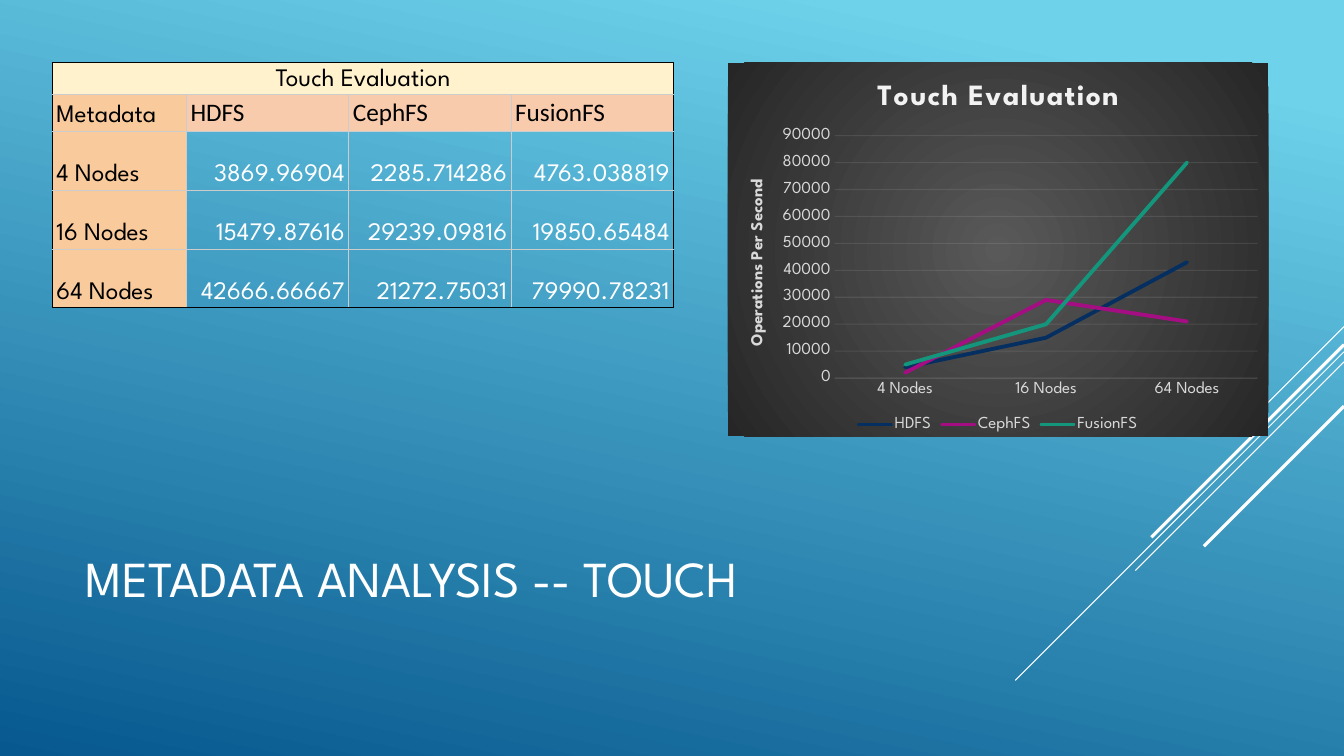
from pptx import Presentation
from pptx.chart.data import CategoryChartData as ChartData
from pptx.dml.color import RGBColor as RGB
from pptx.enum.chart import XL_CHART_TYPE as Kind, XL_LEGEND_POSITION as Spot, XL_TICK_MARK as Tick
from pptx.enum.shapes import MSO_CONNECTOR as Link
from pptx.enum.text import MSO_ANCHOR as Anchor, MSO_AUTO_SIZE as Auto, PP_ALIGN as Align
from pptx.oxml import parse_xml
from pptx.oxml.ns import nsdecls, qn
from pptx.util import Pt

PX = 9144
WIDE, HIGH = 1333, 750
FACE = "League Spartan"
HUES = {
    "sky": "6ED2EB", "sea": "06588E", "white": "FFFFFF", "black": "000000",
    "rule": "CCCCCC", "cream": "FFF2CC", "peach": "F8CBAD", "sand": "F9CB9C",
    "core": "595959", "rim": "262626", "label": "D9D9D9", "pale": "F2F2F2",
    "HDFS": "052F61", "CephFS": "A50E82", "FusionFS": "14967C",
}
TOPIC = "Touch Evaluation"
HEAD = ["Metadata", "HDFS", "CephFS", "FusionFS"]
ROWS = [
    ["4 Nodes", "3869.96904", "2285.714286", "4763.038819"],
    ["16 Nodes", "15479.87616", "29239.09816", "19850.65484"],
    ["64 Nodes", "42666.66667", "21272.75031", "79990.78231"],
]


def px(*sizes):
    return [size * PX for size in sizes]


def hue(name):
    return RGB.from_string(HUES[name])


def style(font, size, color, face=FACE, bold=False):
    font.size, font.name, font.bold = Pt(size), face, bold
    font.color.rgb = hue(color)


def paint(slide):
    fill = slide.background.fill
    fill.gradient()
    fill.gradient_angle = 258
    for stop, spot, name in zip(fill.gradient_stops, (0.1, 1), ("sky", "sea")):
        stop.position = spot
        stop.color.rgb = hue(name)


def add_rays(slide, edge):
    """Draw diagonal lines running down and left from the given right edge."""
    group = slide.shapes.add_group_shape()
    rays = [(324, 100, 0.75), (349, 326, 0.75), (359, 207, 0.75),
            (342, 191, 2.25), (403, 139, 2.25)]
    for top, run, width in rays:
        ray = group.shapes.add_connector(Link.STRAIGHT, *px(edge, top, edge - run, top + run))
        ray.line.width = Pt(width)
        ray.line.color.rgb = hue("white")
        ray.element.spPr.append(parse_xml(f"<a:effectLst {nsdecls('a')}/>"))


def set_title(slide, box, text):
    title = slide.shapes.title
    title.left, title.top, title.width, title.height = px(*box)
    frame = title.text_frame
    frame.text = text
    frame.word_wrap, frame.auto_size = True, Auto.NONE
    frame.vertical_anchor = Anchor.MIDDLE
    para = frame.paragraphs[0]
    para.alignment = Align.LEFT
    style(para.runs[0].font, 36, "white")


def add_edges(cell, sides):
    props = cell._tc.get_or_add_tcPr()
    for side, name in sides.items():
        props.append(parse_xml(
            f'<a:ln{side} {nsdecls("a")} w="12700"><a:solidFill>'
            f'<a:srgbClr val="{HUES[name]}"/></a:solidFill></a:ln{side}>'))


def fill_cell(cell, text, row, col):
    last = len(ROWS) + 1
    outer = {"L": col == 0, "R": col == 3 or row == 0, "T": row == 0, "B": row == last}
    add_edges(cell, {side: "black" if out else "rule" for side, out in outer.items()})
    back = "cream" if row == 0 else "sand" if col == 0 else "peach" if row == 1 else None
    if back:
        cell.fill.solid()
        cell.fill.fore_color.rgb = hue(back)
    else:
        cell.fill.background()
    cell.margin_left, cell.margin_right, cell.margin_top, cell.margin_bottom = px(4, 4, 3, 3)
    cell.vertical_anchor = Anchor.BOTTOM
    para = cell.text_frame.paragraphs[0]
    para.text = text
    para.alignment = Align.CENTER if row == 0 else Align.LEFT if back else Align.RIGHT
    face = "Calibri" if row == 1 and col else FACE
    for part in (para, *para.runs):
        style(part.font, 18, "black" if back else "white", face)


def add_grid(slide, box):
    left, top, width, height = box
    data = [[TOPIC, "", "", ""], HEAD, *ROWS]
    table = slide.shapes.add_table(len(data), len(HEAD), *px(*box)).table
    table.first_row = table.horz_banding = False
    first, thin = 133, 32
    for col, column in enumerate(table.columns):
        column.width = (width - first) * PX // 3 if col else first * PX
    for row, line in enumerate(table.rows):
        line.height = thin * PX if row < 2 else (height - 2 * thin) * PX // len(ROWS)
    for row, texts in enumerate(data):
        for col, text in enumerate(texts):
            fill_cell(table.cell(row, col), text, row, col)
    table.cell(0, 0).merge(table.cell(0, 3))


def set_label(title, text, size, color):
    title.text_frame.text = text
    run = title.text_frame.paragraphs[0].runs[0]
    style(run.font, size, color, bold=True)
    return run


def format_axes(chart):
    cats, vals = chart.category_axis, chart.value_axis
    for axis in (cats, vals):
        axis.major_tick_mark = axis.minor_tick_mark = Tick.NONE
        style(axis.tick_labels.font, 12, "label")
    vals.minimum_scale, vals.maximum_scale, vals.major_unit = 0, 90000, 10000
    vals.format.line.fill.background()
    for line in (cats.format.line, vals.major_gridlines.format.line):
        line.width = Pt(0.75)
        line.color.rgb = hue("pale")
    for color in chart.element.xpath(".//c:catAx/c:spPr//a:srgbClr | .//c:majorGridlines//a:srgbClr"):
        color.append(parse_xml(f'<a:alpha {nsdecls("a")} val="10000"/>'))
    set_label(vals.axis_title, "Operations Per Second", 12, "label")
    for body in chart.element.xpath(".//c:valAx/c:title//a:bodyPr"):
        body.set("rot", "-5400000")
        body.set("vert", "horz")


def fill_chart(chart):
    """Give the chart area a round gradient."""
    stops = "".join(f'<a:gs pos="{pos}"><a:srgbClr val="{HUES[name]}"/></a:gs>'
                    for pos, name in ((0, "core"), (100000, "rim")))
    chart.element.find(qn("c:chart")).addnext(parse_xml(
        f'<c:spPr {nsdecls("c", "a")}><a:gradFill><a:gsLst>{stops}</a:gsLst>'
        '<a:path path="circle"><a:fillToRect l="50000" t="50000" r="50000" b="50000"/></a:path>'
        '</a:gradFill><a:ln><a:noFill/></a:ln></c:spPr>'))


def add_plot(slide, box):
    data = ChartData()
    data.categories = [row[0] for row in ROWS]
    for col, name in enumerate(HEAD[1:], 1):
        data.add_series(name, [round(float(row[col]), -3) for row in ROWS])
    chart = slide.shapes.add_chart(Kind.LINE, *px(*box), data).chart
    style(chart.font, 10, "white")
    fill_chart(chart)
    chart.has_title = chart.has_legend = True
    set_label(chart.chart_title, TOPIC, 21, "pale").font._element.set("spc", "100")
    chart.legend.position = Spot.BOTTOM
    chart.legend.include_in_layout = False
    style(chart.legend.font, 12, "label")
    format_axes(chart)
    chart.plots[0].vary_by_categories = False
    for series in chart.plots[0].series:
        series.smooth = False
        series.format.line.width = Pt(2.75)
        series.format.line.color.rgb = hue(series.name)
    for line in chart.element.xpath(".//c:ser/c:spPr/a:ln"):
        line.set("cap", "rnd")


def main():
    deck = Presentation()
    deck.slide_width, deck.slide_height = px(WIDE, HIGH)
    slide = deck.slides.add_slide(deck.slide_layouts[5])
    paint(slide)
    add_rays(slide, WIDE)
    set_title(slide, (75, 490, 933, 165), "METADATA ANALYSIS -- TOUCH")
    add_grid(slide, (52, 62, 616, 239))
    add_plot(slide, (722, 62, 536, 371))
    deck.save("out.pptx")


if __name__ == "__main__":
    main()
